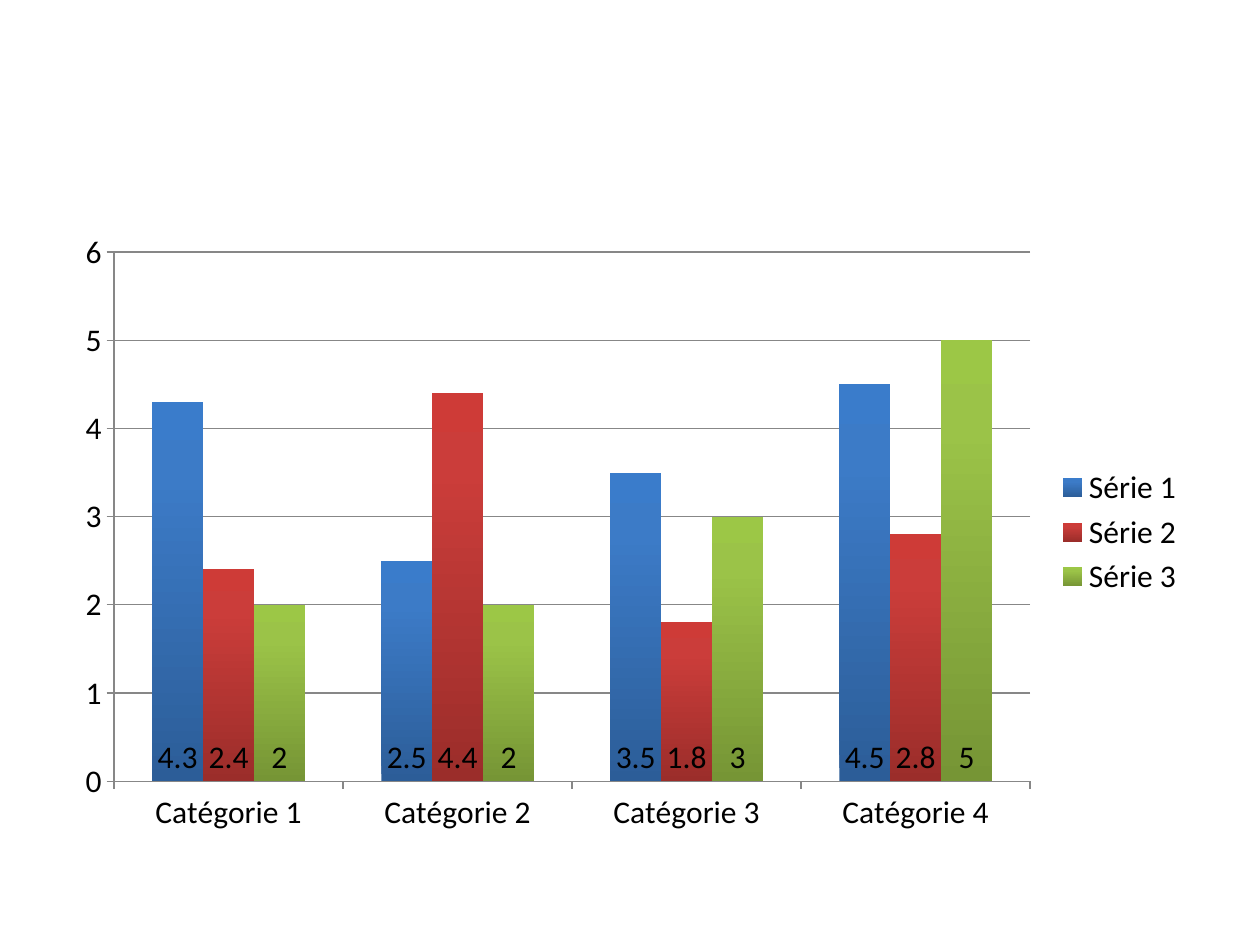
from copy import deepcopy

from pptx import Presentation
from pptx.chart.data import CategoryChartData
from pptx.dml.color import RGBColor
from pptx.enum.chart import (XL_CHART_TYPE, XL_LABEL_POSITION,
                             XL_LEGEND_POSITION, XL_TICK_MARK)
from pptx.util import Pt

COLUMN = XL_CHART_TYPE.COLUMN_CLUSTERED
BASE = XL_LABEL_POSITION.INSIDE_BASE
RIGHT = XL_LEGEND_POSITION.RIGHT
OUT, NONE = XL_TICK_MARK.OUTSIDE, XL_TICK_MARK.NONE

COLORS = {"text": "000000", "line": "878787"}
# Each series: values, then gradient colours from the foot of the bar up
SERIES = {
    "Série 1": ((4.3, 2.5, 3.5, 4.5), ("2C5D98", "3C7BC7", "3A7CCB")),
    "Série 2": ((2.4, 4.4, 1.8, 2.8), ("9B2D2A", "CB3D3A", "CE3B37")),
    "Série 3": ((2, 2, 3, 5), ("769535", "9BC348", "9CC746")),
}
STOPS = (0, 0.8, 1)

deck = Presentation()
deck.slide_width, deck.slide_height = Pt(720), Pt(540)
slide = deck.slides.add_slide(deck.slide_layouts[6])

data = CategoryChartData(number_format="General")
data.categories = [f"Catégorie {n}" for n in range(1, 5)]
for name, (values, _) in SERIES.items():
    data.add_series(name, values)

chart = slide.shapes.add_chart(
    COLUMN, Pt(36), Pt(126), Pt(648), Pt(356.4), data).chart
chart.has_title = False
chart.font.name = "Calibri"
chart.font.size = Pt(18)
chart.font.color.rgb = RGBColor.from_string(COLORS["text"])
chart.has_legend = True
chart.legend.position = RIGHT
chart.legend.include_in_layout = False

plot = chart.plots[0]
plot.gap_width = 150
plot.overlap = 0
plot.vary_by_categories = False
for series, (_, shades) in zip(plot.series, SERIES.values()):
    fill = series.format.fill
    fill.gradient()
    fill.gradient_angle = 90
    first = series.format.element.xpath("c:spPr/a:gradFill/a:gsLst/a:gs")[0]
    first.addnext(deepcopy(first))
    for stop, place, shade in zip(fill.gradient_stops, STOPS, shades):
        stop.position = place
        stop.color.rgb = RGBColor.from_string(shade)
    series.invert_if_negative = False
    labels = series.data_labels
    labels.show_value = True
    labels.position = BASE

value = chart.value_axis
value.minimum_scale, value.maximum_scale, value.major_unit = 0, 6, 1
value.has_major_gridlines = True
for axis in (chart.category_axis, value):
    axis.major_tick_mark = OUT
    axis.minor_tick_mark = NONE
for part in (chart.category_axis, value, value.major_gridlines):
    part.format.line.width = Pt(0.75)
    part.format.line.color.rgb = RGBColor.from_string(COLORS["line"])

deck.save("out.pptx")
